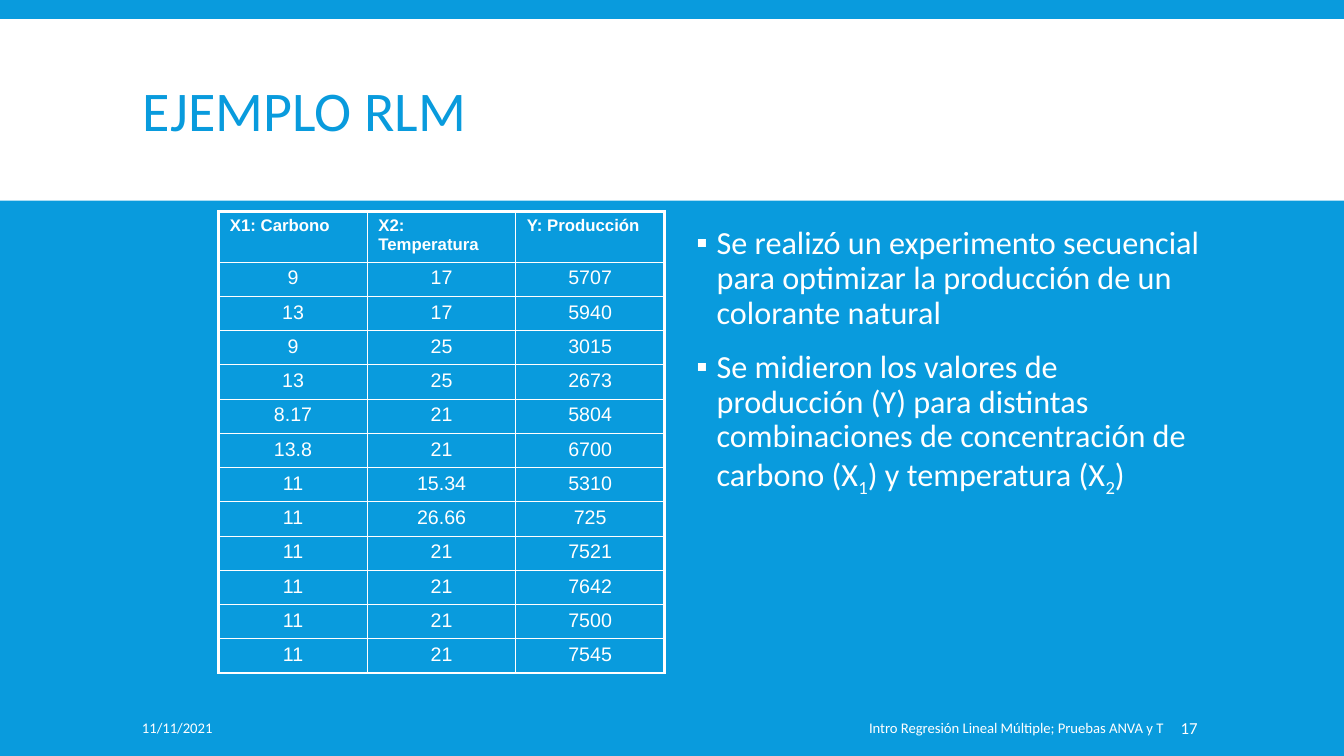
import pptx
import pptx.util
import pptx.dml.color
import pptx.enum.shapes
import pptx.enum.text
import pptx.oxml
import pptx.oxml.ns

Inches, Pt = pptx.util.Inches, pptx.util.Pt
ALIGN, ANCHOR = pptx.enum.text.PP_ALIGN, pptx.enum.text.MSO_ANCHOR
BLUE = pptx.dml.color.RGBColor(0x09, 0x9B, 0xDD)
WHITE = pptx.dml.color.RGBColor(0xFF, 0xFF, 0xFF)

# Content
TITLE = "EJEMPLO RLM"
HEADINGS = ("X1: Carbono", "X2: Temperatura", "Y: Producción")
TRIALS = [
    ("9", "17", "5707"),
    ("13", "17", "5940"),
    ("9", "25", "3015"),
    ("13", "25", "2673"),
    ("8.17", "21", "5804"),
    ("13.8", "21", "6700"),
    ("11", "15.34", "5310"),
    ("11", "26.66", "725"),
    ("11", "21", "7521"),
    ("11", "21", "7642"),
    ("11", "21", "7500"),
    ("11", "21", "7545"),
]
# Each point is a list of pieces; every second piece is a subscript
POINTS = [
    ["Se realizó un experimento secuencial para optimizar la producción "
     "de un colorante natural"],
    ["Se midieron los valores de producción (Y) para distintas combinaciones "
     "de concentración de carbono (X", "1", ") y temperatura (X", "2", ")"],
]
# Footer: text, left, width, size, alignment, left and right inset
FOOTER = [
    ("11/11/2021", 1.31, 3.28, 10.5, ALIGN.LEFT, 0.1, 0.05),
    ("Intro Regresión Lineal Múltiple; Pruebas ANVA y T",
     6.12, 5.52, 10.5, ALIGN.RIGHT, 0.1, 0.1),
    ("17", 11.66, 1.03, 12, ALIGN.LEFT, 0.05, 0.1),
]


def style(font, size, color=WHITE, name="Calibri", bold=False):
    font.size, font.name, font.bold = Pt(size), name, bold
    font.color.rgb = color


def add_frame(left, top, width, height, anchor=ANCHOR.MIDDLE):
    box = slide.shapes.add_textbox(Inches(left), Inches(top), Inches(width), Inches(height))
    box.text_frame.word_wrap = True
    box.text_frame.vertical_anchor = anchor
    return box.text_frame


def add_bullet(paragraph):
    properties = paragraph._p.get_or_add_pPr()
    properties.set("marL", str(Inches(0.2)))
    properties.set("indent", str(-Inches(0.2)))
    ns = pptx.oxml.ns.nsdecls("a")
    for xml in (f'<a:buClr {ns}><a:srgbClr val="{WHITE}"/></a:buClr>',
                f'<a:buFont {ns} typeface="Arial"/>',
                f'<a:buChar {ns} char="▪"/>'):
        properties.append(pptx.oxml.parse_xml(xml))


def set_borders(cell, widths):
    properties = cell._tc.get_or_add_tcPr()
    for place, (side, width) in enumerate(widths.items()):
        properties.insert(place, pptx.oxml.parse_xml(
            f'<a:ln{side} {pptx.oxml.ns.nsdecls("a")} w="{Pt(width)}">'
            f'<a:solidFill><a:srgbClr val="{WHITE}"/></a:solidFill></a:ln{side}>'))


presentation = pptx.Presentation()
presentation.slide_width, presentation.slide_height = Inches(13.33), Inches(7.5)
slide = presentation.slides.add_slide(presentation.slide_layouts[6])
slide.background.fill.solid()
slide.background.fill.fore_color.rgb = BLUE

# Title band
band = slide.shapes.add_shape(pptx.enum.shapes.MSO_SHAPE.RECTANGLE,
                              0, Inches(0.19), Inches(13.33), Inches(1.8))
band.shadow.inherit = False
band.fill.solid()
band.fill.fore_color.rgb = WHITE
band.line.fill.background()
title = add_frame(1.32, 0.31, 10.7, 1.65)
title.text = TITLE
title.paragraphs[0].line_spacing = 0.85
style(title.paragraphs[0].runs[0].font, 40, BLUE)

# Table of trials: thick outline, thin inner lines
rows = [HEADINGS] + TRIALS
last_row, last_column = len(rows) - 1, len(HEADINGS) - 1
trials = slide.shapes.add_table(len(rows), len(HEADINGS), Inches(2.17), Inches(2.1),
                                Inches(4.42), Inches(0.34 * len(rows))).table
trials.first_row = trials.horz_banding = False
for row in trials.rows:
    row.height = Inches(0.34)
for r, values in enumerate(rows):
    for c, value in enumerate(values):
        cell = trials.cell(r, c)
        cell.text_frame.text = value
        cell.margin_left = cell.margin_right = Inches(0.11)
        cell.margin_top = cell.margin_bottom = Inches(0.05)
        cell.fill.background()
        heading = r == 0
        paragraph = cell.text_frame.paragraphs[0]
        paragraph.alignment = ALIGN.LEFT if heading else ALIGN.CENTER
        style(paragraph.runs[0].font, 12 if heading else 14, name="Arial", bold=heading)
        outer = {"L": c == 0, "R": c == last_column, "T": heading, "B": r == last_row}
        set_borders(cell, {side: 2.25 if edge else 1 for side, edge in outer.items()})

# Explanation
explanation = add_frame(6.81, 2.2, 5.2, 4.6, ANCHOR.TOP)
for number, pieces in enumerate(POINTS):
    paragraph = explanation.add_paragraph() if number else explanation.paragraphs[0]
    paragraph.line_spacing = 0.9
    paragraph.space_before, paragraph.space_after = Pt(12), Pt(2)
    add_bullet(paragraph)
    for place, piece in enumerate(pieces):
        run = paragraph.add_run()
        run.text = piece
        style(run.font, 23)
        if place % 2:
            run._r.get_or_add_rPr().set("baseline", "-25000")

# Footer
for text, left, width, size, alignment, inset_left, inset_right in FOOTER:
    footer = add_frame(left, 7.02, width, 0.4)
    footer.margin_left, footer.margin_right = Inches(inset_left), Inches(inset_right)
    footer.text = text
    footer.paragraphs[0].alignment = alignment
    style(footer.paragraphs[0].runs[0].font, size)

presentation.save("out.pptx")
